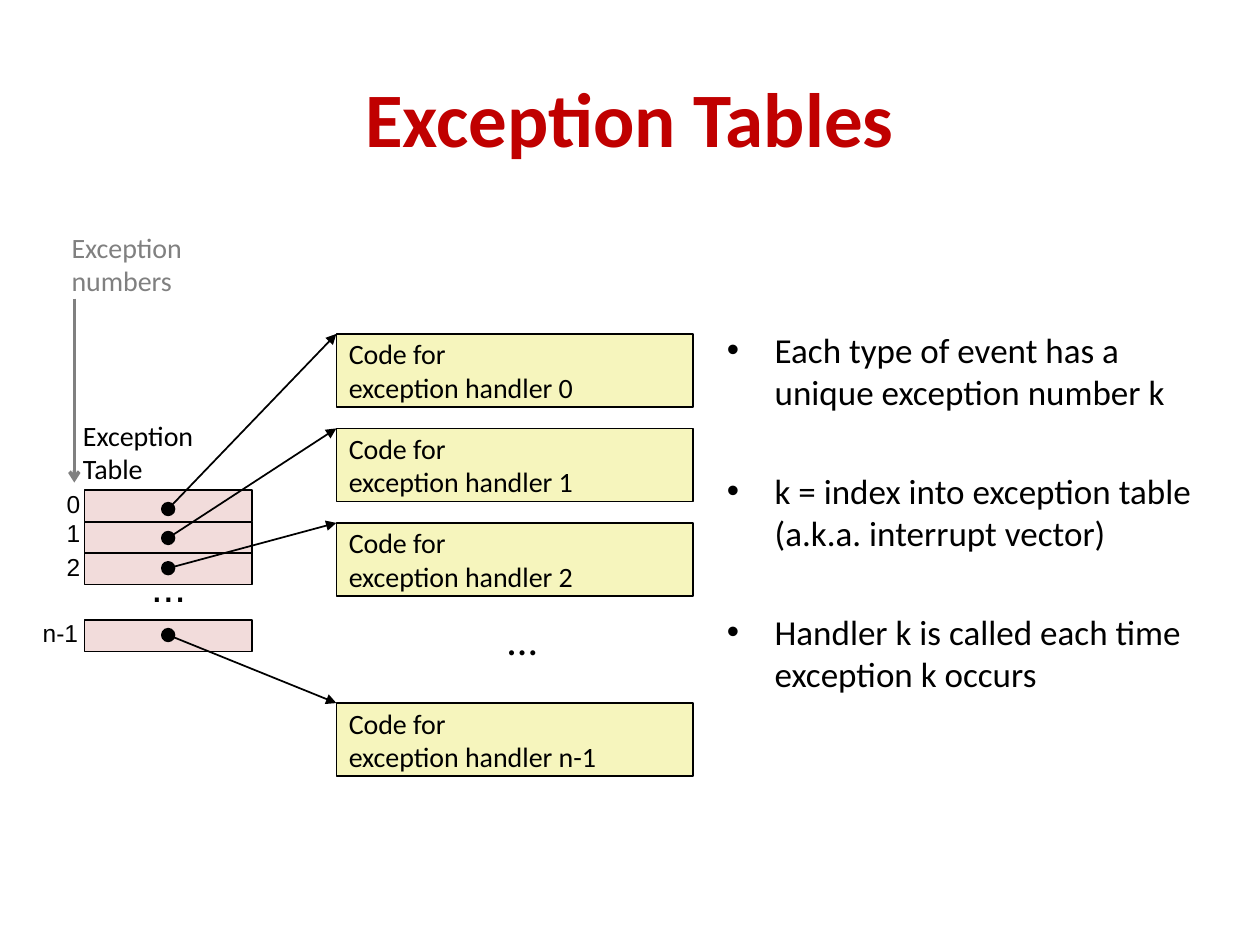
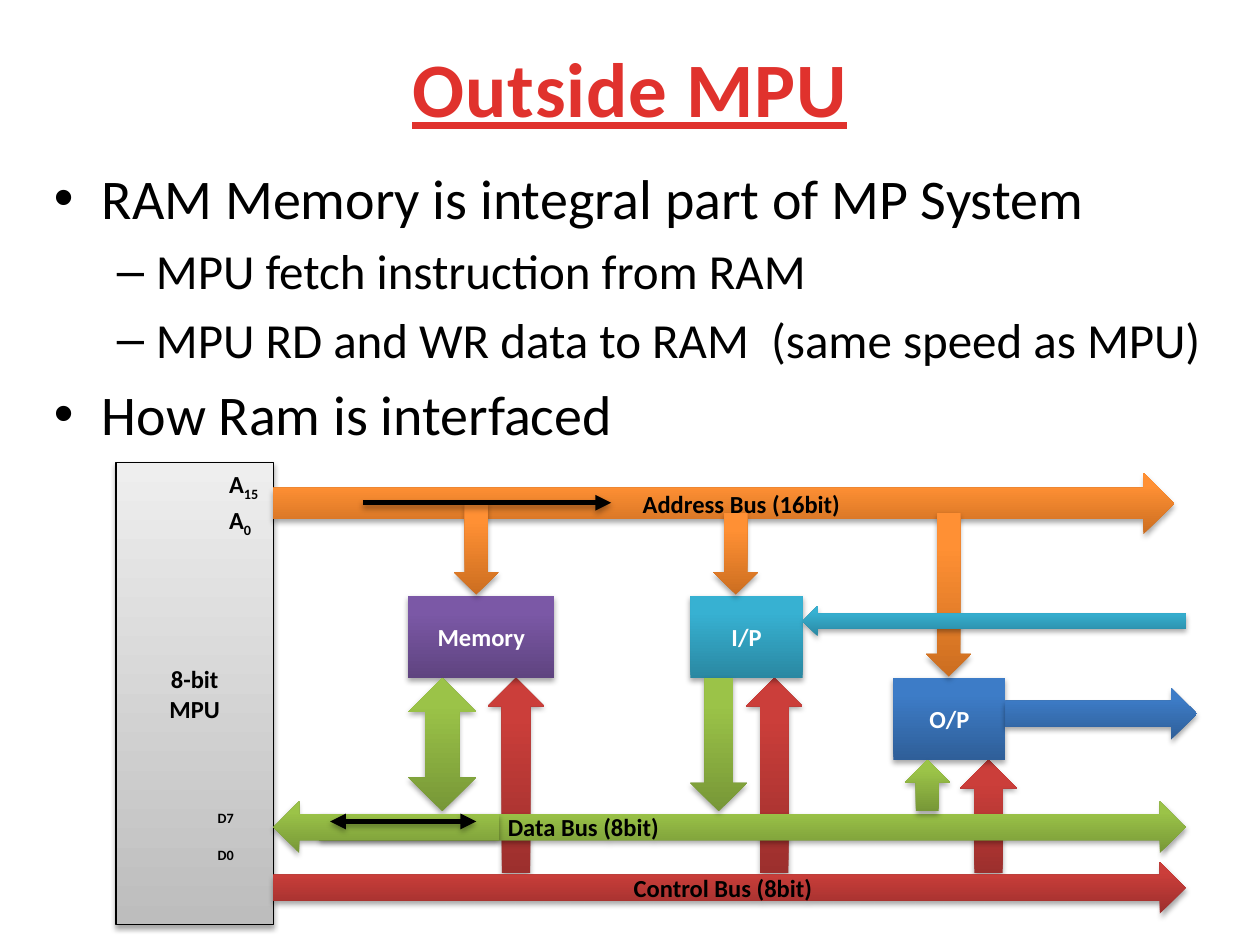
from lxml.etree import SubElement
from pptx import Presentation
from pptx.dml.color import RGBColor
from pptx.enum.shapes import MSO_CONNECTOR, MSO_SHAPE as SHAPE
from pptx.enum.text import MSO_ANCHOR as ANCHOR, MSO_AUTO_SIZE, PP_ALIGN as ALIGN
from pptx.oxml.ns import qn
from pptx.util import Inches, Pt

BODY_FONT, NUMBER_FONT = "Calibri", "Arial"
BLACK, WHITE, GREY = "000000", "FFFFFF", "808080"
CELL_PINK, HANDLER_YELLOW = "F2DCDB", "F6F5BD"

# Gradients as (dark bottom, light top, position of the light stop)
ORANGE = ("CC6E20", "FF9034", 0.8)
GREEN = ("779737", "9BC348", 0.8)
RED = ("9C2F2D", "CB3E3A", 0.8)
PURPLE = ("5F4480", "7B58A6", 0.8)
TEAL = ("2A88A2", "37B1D2", 0.8)
BLUE = ("2F5F99", "3D7CC7", 0.8)
SILVER = ("BDBDBD", "EEEEEE", 1)


def rgb(code):
    return RGBColor.from_string(code)


def style_text(frame, size, color=BLACK, font=BODY_FONT, bold=False, align=ALIGN.LEFT):
    for paragraph in frame.paragraphs:
        paragraph.alignment = align
        for run in paragraph.runs:
            run.font.size = Pt(size)
            run.font.name = font
            run.font.bold = bold
            run.font.color.rgb = rgb(color)


def add_text(slide, x, y, w, h, text, size, color=BLACK, font=BODY_FONT,
             bold=False, anchor=ANCHOR.TOP):
    """Add a label that grows with its text and does not wrap."""
    frame = slide.shapes.add_textbox(Inches(x), Inches(y), Inches(w), Inches(h)).text_frame
    frame.word_wrap = False
    frame.auto_size = MSO_AUTO_SIZE.SHAPE_TO_FIT_TEXT
    frame.vertical_anchor = anchor
    frame.text = text
    style_text(frame, size, color, font, bold)
    return frame


def add_title(slide, x, y, w, h, text, color, underline=False, spacing=0):
    frame = slide.shapes.add_textbox(Inches(x), Inches(y), Inches(w), Inches(h)).text_frame
    frame.word_wrap = True
    frame.vertical_anchor = ANCHOR.MIDDLE
    frame.text = text
    style_text(frame, 44, color, bold=True, align=ALIGN.CENTER)
    run = frame.paragraphs[0].runs[0]
    run.font.underline = underline
    run._r.get_or_add_rPr().set("spc", str(round(spacing * 100)))


def set_bullet(paragraph, mark, margin, hanging):
    properties = paragraph._p.get_or_add_pPr()
    properties.set("marL", str(Inches(margin)))
    properties.set("indent", str(-Inches(hanging)))
    SubElement(properties, qn("a:buFont")).set("typeface", NUMBER_FONT)
    SubElement(properties, qn("a:buChar")).set("char", mark)


def add_bullets(slide, x, y, w, h, items, sizes, gap=0):
    """Add (level, text) items; gap is the extra space in points between them."""
    frame = slide.shapes.add_textbox(Inches(x), Inches(y), Inches(w), Inches(h)).text_frame
    frame.word_wrap = True
    frame.text = "\n".join(text for _, text in items)
    for index, (paragraph, (level, _)) in enumerate(zip(frame.paragraphs, items)):
        size = sizes[level]
        paragraph.level = level
        paragraph.space_before = Pt(size * 0.2 + (gap if index else 0))
        set_bullet(paragraph, *(("•", 0.38, 0.38), ("–", 0.81, 0.31))[level])
        for run in paragraph.runs:
            run.font.size = Pt(size)
            run.font.name = BODY_FONT
            run.font.color.rgb = rgb(BLACK)


def add_shadow(effects):
    shadow = SubElement(effects, qn("a:outerShdw"), blurRad="40000", dist="23000",
                        dir="5400000", rotWithShape="0")
    color = SubElement(shadow, qn("a:srgbClr"), val=BLACK)
    SubElement(color, qn("a:alpha"), val="35000")


def add_line(slide, start, end, color=BLACK, width=1, head=None, tail="triangle", shadow=False):
    line = slide.shapes.add_connector(MSO_CONNECTOR.STRAIGHT, *map(Inches, start + end))
    line.line.color.rgb = rgb(color)
    line.line.width = Pt(width)
    stroke = line.line._get_or_add_ln()
    for tag, kind in (("a:headEnd", head), ("a:tailEnd", tail)):
        if kind:
            SubElement(stroke, qn(tag), type=kind)
    effects = SubElement(line._element.spPr, qn("a:effectLst"))
    if shadow:
        add_shadow(effects)


def add_flat(slide, kind, x, y, w, h, fill, width=1):
    shape = slide.shapes.add_shape(kind, Inches(x), Inches(y), Inches(w), Inches(h))
    shape.shadow.inherit = False
    shape.fill.solid()
    shape.fill.fore_color.rgb = rgb(fill)
    shape.line.color.rgb = rgb(BLACK)
    shape.line.width = Pt(width)
    return shape


def add_glossy(slide, kind, x, y, w, h, gradient, text="", color=BLACK,
               align=ALIGN.CENTER, inset=0.1):
    """Add a shape with a vertical gradient and a soft shadow."""
    shape = slide.shapes.add_shape(kind, Inches(x), Inches(y), Inches(w), Inches(h))
    dark, light, light_position = gradient
    shape.fill.gradient()
    shape.fill.gradient_angle = 90
    bottom, top = shape.fill.gradient_stops
    bottom.color.rgb, top.color.rgb = rgb(dark), rgb(light)
    bottom.position, top.position = 0, light_position
    shape.line.fill.background()
    shape.shadow.inherit = False
    add_shadow(shape._element.spPr.find(qn("a:effectLst")))
    if text:
        frame = shape.text_frame
        frame.vertical_anchor = ANCHOR.MIDDLE
        frame.margin_left = Inches(inset)
        frame.text = text
        style_text(frame, 14, color, bold=True, align=align)
    return shape


def add_exception_table(slide, x, y):
    """Draw the table cells and return the point where each pointer starts."""
    cell_w, cell_h = 1.33, 0.25
    # number, cell top, number's left and top, number width, dot centre
    rows = [("0", 0, -0.24, -0.06, 0.31, 0.15),
            ("1", cell_h, -0.24, 0.17, 0.31, 0.38),
            ("2", 2 * cell_h, -0.24, 0.44, 0.31, 0.62),
            ("n-1", 1.03, -0.43, 0.97, 0.49, 1.15)]
    dot, dot_x = 0.1, x + cell_w / 2
    for number, cell_y, number_x, number_y, number_w, dot_y in rows:
        add_flat(slide, SHAPE.RECTANGLE, x, y + cell_y, cell_w, cell_h, CELL_PINK)
        add_text(slide, x + number_x, y + number_y, number_w, 0.33, number, 14,
                 font=NUMBER_FONT, anchor=ANCHOR.MIDDLE)
        add_flat(slide, SHAPE.OVAL, dot_x - dot / 2, y + dot_y - dot / 2, dot, dot, BLACK)
    add_text(slide, x + 0.43, y + 0.51, 0.48, 0.5, "...", 24, font=NUMBER_FONT,
             anchor=ANCHOR.MIDDLE)
    add_text(slide, x - 0.11, y - 0.62, 1.11, 0.64, "Exception\nTable", 16)
    add_text(slide, x - 0.2, y - 2.11, 1.16, 0.64, "Exception\nnumbers", 16, GREY)
    add_line(slide, (x - 0.08, y - 1.52), (x - 0.08, y - 0.06), GREY, 2, tail="arrow")
    return [(dot_x, y + row[-1]) for row in rows]


def add_handlers(slide, x, y):
    """Draw the handler boxes and return their top left corners."""
    corners = []
    for number, offset in (("0", 0), ("1", 0.75), ("2", 1.5), ("n-1", 2.93)):
        handler = add_flat(slide, SHAPE.RECTANGLE, x, y + offset, 2.83, 0.58,
                           HANDLER_YELLOW, 0.75)
        frame = handler.text_frame
        frame.vertical_anchor = ANCHOR.MIDDLE
        frame.text = f"Code for\nexception handler {number}"
        style_text(frame, 16)
        corners.append((x, y + offset))
    add_text(slide, x + 1.25, y + 2.17, 0.48, 0.5, "...", 24, anchor=ANCHOR.MIDDLE)
    return corners


def add_mpu(slide, x, y):
    add_glossy(slide, SHAPE.RECTANGLE, x, y, 1.25, 3.67, SILVER, "8-bit\nMPU").line.color.rgb = rgb(BLACK)
    for letter, index, pin_y in (("A", "15", 0), ("A", "0", 0.29)):
        pin = add_text(slide, x + 0.8, y + pin_y, 0.63, 0.34, letter, 14, bold=True)
        pin.paragraphs[0].add_run().text = index
        style_text(pin, 14, bold=True)
        lower_run(pin.paragraphs[0].runs[1])
    for name, pin_y in (("D7", 2.57), ("D0", 2.87)):
        pin = add_text(slide, x + 0.71, y + pin_y, 0.63, 0.26, name, 14, bold=True)
        lower_run(pin.paragraphs[0].runs[0])


def lower_run(run):
    """Turn a run into a subscript."""
    run._r.get_or_add_rPr().set("baseline", "-25000")


def add_bus_system(slide, x, y):
    def place(kind, left, top, w, h, gradient, *text, **options):
        add_glossy(slide, kind, x + left, y + top, w, h, gradient, *text, **options)

    # Control lines go up behind the data bus
    for left, top, h in ((2.95, 1.71, 1.55), (5, 1.71, 1.55), (6.7, 2.36, 0.9)):
        place(SHAPE.UP_ARROW, left, top, 0.45, h, RED)
    add_mpu(slide, x, y)
    place(SHAPE.RIGHT_ARROW, 1.25, 0.08, 7.15, 0.49, ORANGE, "Address Bus (16bit)", inset=0.5)
    place(SHAPE.RIGHT_ARROW, 1.61, 2.69, 6.88, 0.41, GREEN, "Data Bus (8bit)",
          align=ALIGN.LEFT, inset=1.5)
    for name, left, top, w, gradient in (("Memory", 2.32, 1.06, 1.16, PURPLE),
                                         ("I/P", 4.56, 1.06, 0.89, TEAL),
                                         ("O/P", 6.17, 1.71, 0.89, BLUE)):
        place(SHAPE.RECTANGLE, left, top, w, 0.65, gradient, name, WHITE)
    for left, top, h in ((2.68, 0.32, 0.73), (4.74, 0.4, 0.65), (6.43, 0.4, 1.3)):
        place(SHAPE.DOWN_ARROW, left, top, 0.36, h, ORANGE)
    place(SHAPE.RIGHT_ARROW, 7.06, 1.79, 1.52, 0.41, BLUE)
    place(SHAPE.RIGHT_ARROW, 1.25, 3.17, 7.24, 0.41, RED, "Control Bus (8bit)")
    place(SHAPE.UP_DOWN_ARROW, 2.32, 1.71, 0.54, 1.06, GREEN)
    place(SHAPE.DOWN_ARROW, 4.56, 1.71, 0.45, 1.06, GREEN)
    place(SHAPE.UP_ARROW, 6.26, 2.36, 0.36, 0.41, GREEN)
    place(SHAPE.LEFT_ARROW, 1.25, 2.69, 1.79, 0.41, GREEN)
    place(SHAPE.LEFT_ARROW, 5.45, 1.14, 3.04, 0.24, TEAL)
    for left, right, top, head in ((1.96, 3.93, 0.32, None), (1.7, 2.86, 2.85, "triangle")):
        add_line(slide, (x + left, y + top), (x + right, y + top), width=3,
                 head=head, shadow=True)


def build_exception_slide(slide):
    add_title(slide, 0.5, 0.3, 9, 1.25, "Exception Tables", "C00000")
    add_bullets(slide, 5.67, 2.56, 4.17, 3.52, [
        (0, "Each type of event has a\vunique exception number k"),
        (0, "k = index into exception table\v(a.k.a. interrupt vector)"),
        (0, "Handler k is called each time\vexception k occurs"),
    ], sizes=(20,), gap=28.4)
    pointers = add_exception_table(slide, 0.67, 3.89)
    handlers = add_handlers(slide, 2.67, 2.65)
    for pointer, handler in zip(pointers, handlers):
        add_line(slide, pointer, handler)


def build_mpu_slide(slide):
    add_title(slide, 0.5, 0.25, 9, 0.88, "Outside MPU", "E0322D", underline=True, spacing=0.5)
    add_bullets(slide, 0.33, 1.25, 9.67, 5.83, [
        (0, "RAM Memory is integral part of MP System"),
        (1, "MPU fetch instruction from RAM"),
        (1, "MPU RD and WR data to RAM  (same speed as MPU)"),
        (0, "How Ram is interfaced"),
    ], sizes=(32, 28))
    add_bus_system(slide, 0.92, 3.67)


def main():
    deck = Presentation()
    deck.slide_width, deck.slide_height = Inches(10), Inches(7.5)
    for build in (build_exception_slide, build_mpu_slide):
        build(deck.slides.add_slide(deck.slide_layouts[6]))
    deck.save("out.pptx")


if __name__ == "__main__":
    main()
